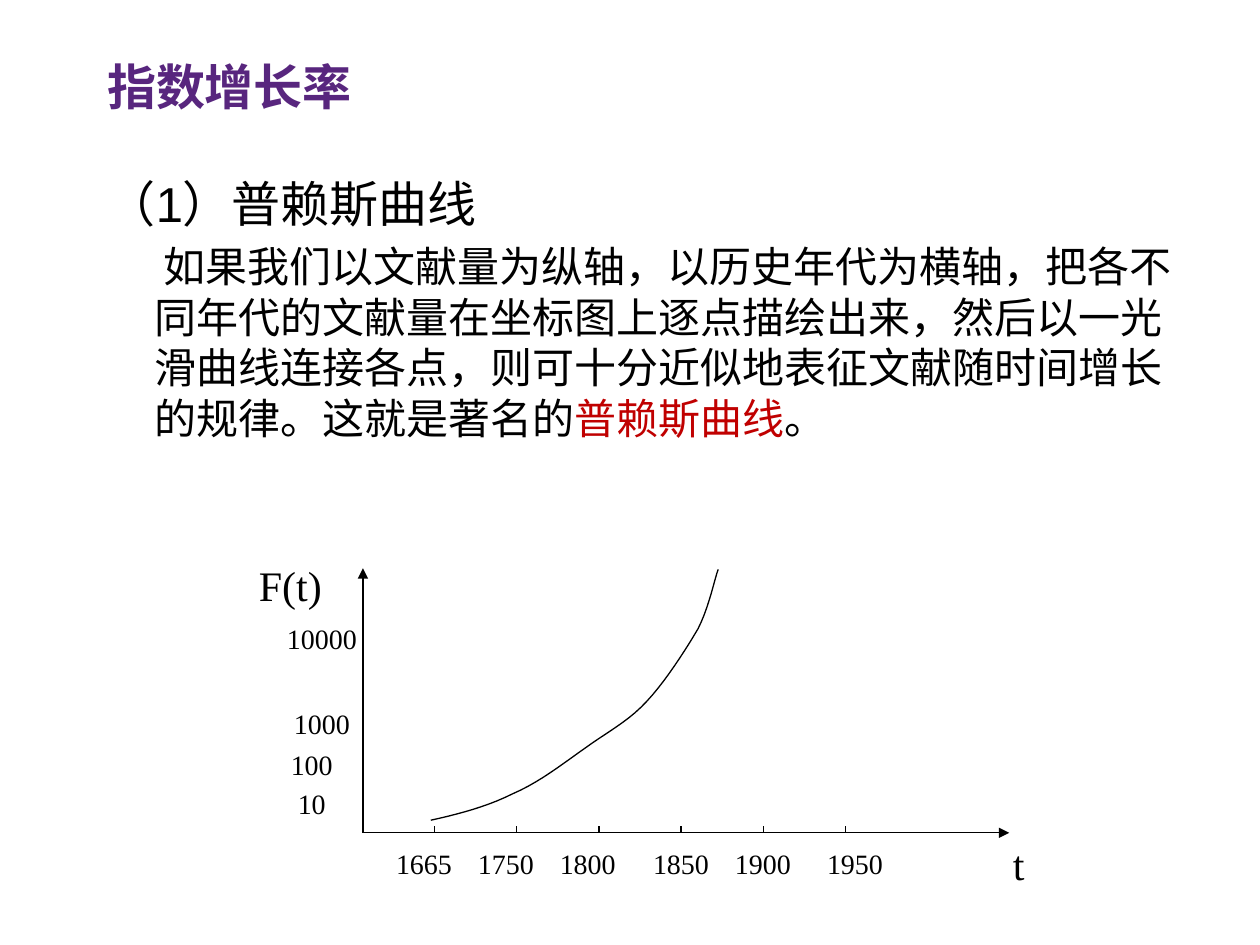
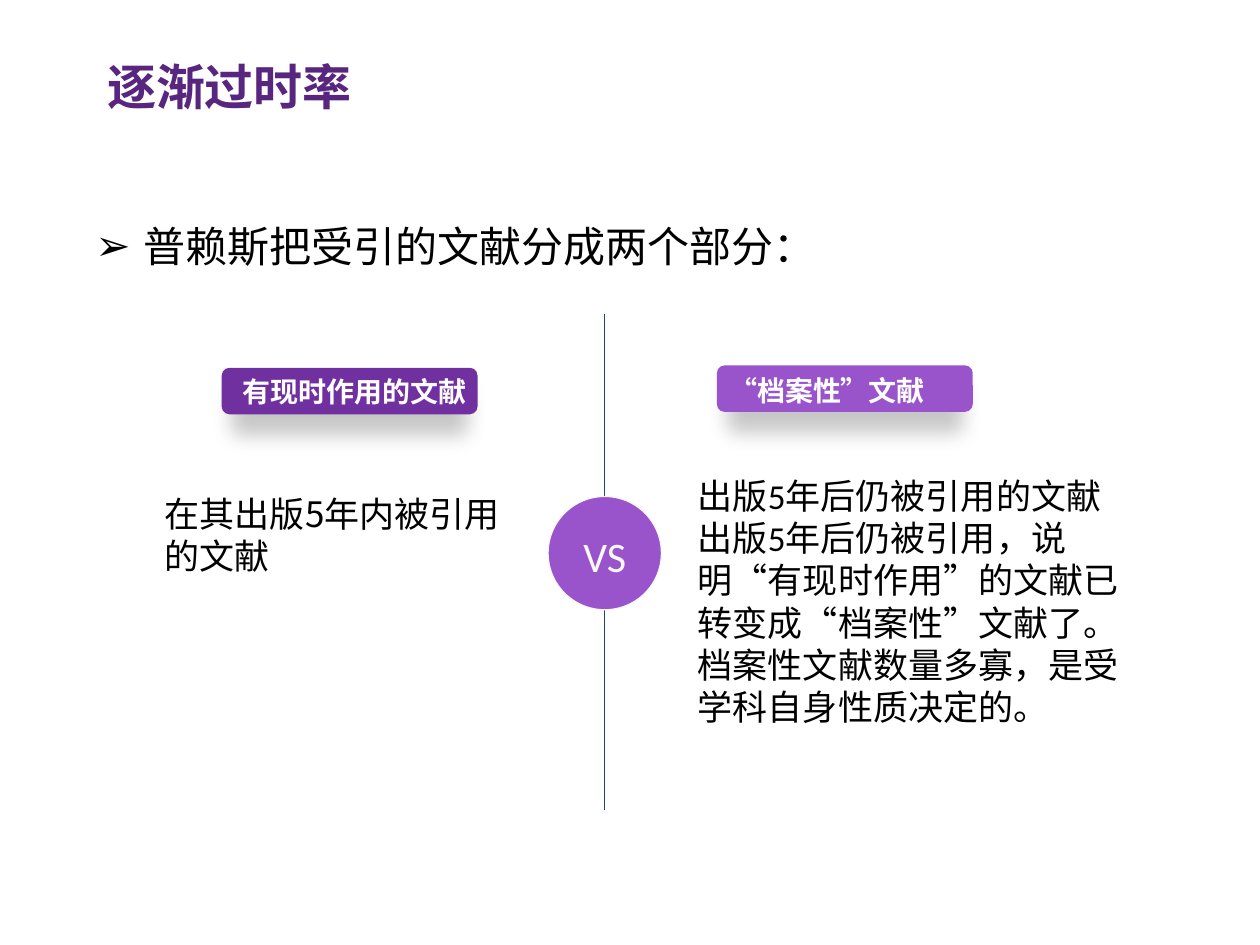
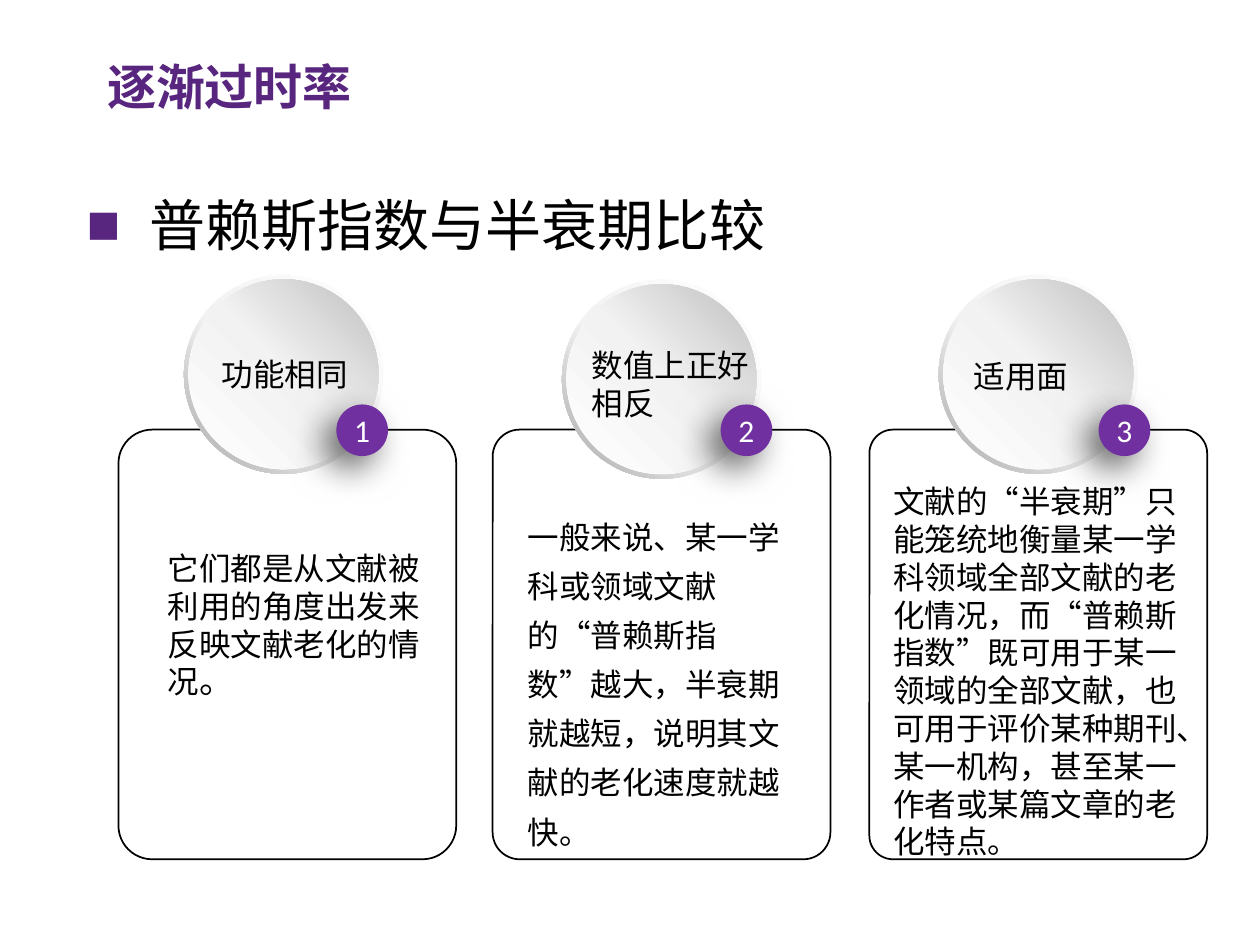
from lxml import etree
from pptx import Presentation
from pptx.dml import color
from pptx.enum import lang, shapes, text
from pptx.oxml import ns
from pptx.util import Pt

PURPLE, LILAC, TITLE_PURPLE = "7030A0", "9954CC", "58267E"
BLACK, WHITE, PALE, RED, NAVY = "000000", "FFFFFF", "F8F8F8", "C00000", "1F497D"
SANS, SERIF, HUMANIST, CJK = "Arial", "Times New Roman", "Calibri", "Noto Sans CJK SC"
LINE_HEIGHT, FIRST_LINE_DROP = 1.2, 0.07
LEFT, CENTER, RIGHT = text.PP_ALIGN.LEFT, text.PP_ALIGN.CENTER, text.PP_ALIGN.RIGHT
TOP, MIDDLE = text.MSO_ANCHOR.TOP, text.MSO_ANCHOR.MIDDLE
SHAPE = shapes.MSO_SHAPE
RING_STOPS = [(0, "FFFFFF"), (55, "F2F2F2"), (100, "A6A6A6")]
DISC_STOPS = [(0, "FFFFFF"), (51, "F2F2F2"), (100, "BFBFBF")]


def rgb(value):
    """Turn a hex string into a colour."""
    return color.RGBColor.from_string(value)


def add_node(parent, tag, **attributes):
    """Append a drawing element with the given attributes."""
    values = {key: str(value) for key, value in attributes.items()}
    return etree.SubElement(parent, ns.qn("a:" + tag), values)


def apply(target, values):
    """Set each attribute named in a dict of format values."""
    for name, value in values.items():
        setattr(target, name, value)


def write(frame, paragraphs, size, font=SANS, ink=BLACK, bold=False, align=LEFT,
          anchor=TOP, wrap=True, inset=(7.2, 3.6), spacing=1, before=0,
          indents=(), bullet=None):
    """Fill a text frame with paragraphs made of runs."""
    side, edge = inset
    drop = FIRST_LINE_DROP * size if anchor == TOP else 0
    apply(frame, {"auto_size": text.MSO_AUTO_SIZE.NONE, "word_wrap": wrap,
                  "vertical_anchor": anchor, "margin_left": Pt(side),
                  "margin_right": Pt(side), "margin_top": Pt(edge + drop),
                  "margin_bottom": Pt(edge)})
    for order, runs in enumerate(paragraphs):
        paragraph = frame.add_paragraph() if order else frame.paragraphs[0]
        runs = [(runs, {})] if isinstance(runs, str) else runs
        apply(paragraph, {"alignment": align,
                          "line_spacing": Pt(size * LINE_HEIGHT * spacing),
                          "space_before": Pt(before if order else 0)})
        properties = paragraph._p.get_or_add_pPr()
        if order < len(indents):
            margin, first = indents[order]
            properties.set("marL", str(Pt(margin)))
            properties.set("indent", str(Pt(first)))
        if bullet:
            mark, mark_ink = bullet
            add_node(add_node(properties, "buClr"), "srgbClr", val=mark_ink)
            add_node(properties, "buFont", typeface=SANS)
            add_node(properties, "buChar", char=mark)
        for words, changes in runs:
            run = paragraph.add_run()
            run.text = words
            look = {"size": size, "ink": ink, **changes}
            apply(run.font, {"size": Pt(look["size"]), "name": font, "bold": bold,
                             "language_id": lang.MSO_LANGUAGE_ID.SIMPLIFIED_CHINESE})
            run.font.color.rgb = rgb(look["ink"])
            add_node(run._r.get_or_add_rPr(), "ea", typeface=CJK)


def add_text(slide, box, paragraphs, size, **style):
    """Add a text box."""
    frame = slide.shapes.add_textbox(*map(Pt, box)).text_frame
    write(frame, paragraphs, size, **style)


def add_figure(slide, kind, box, fill=None, line=None, width=0.75, adjust=None):
    """Add a preset shape without a shadow."""
    figure = slide.shapes.add_shape(kind, *map(Pt, box))
    figure.shadow.inherit = False
    if adjust is not None:
        figure.adjustments[0] = adjust
    paint(figure, fill, line, width)
    return figure


def paint(figure, fill, line, width):
    """Set fill and outline, either of which may be absent."""
    if fill:
        figure.fill.solid()
        figure.fill.fore_color.rgb = rgb(fill)
    else:
        figure.fill.background()
    if line:
        figure.line.color.rgb = rgb(line)
        figure.line.width = Pt(width)
    else:
        figure.line.fill.background()


def shade(figure, stops, angle):
    """Give a shape a linear gradient with a clockwise angle."""
    figure.fill.gradient()
    figure.fill.gradient_angle = 360 - angle
    stop_list = figure._element.spPr.find(".//" + ns.qn("a:gsLst"))
    for old in list(stop_list):
        stop_list.remove(old)
    for position, tint in stops:
        stop = add_node(stop_list, "gs", pos=position * 1000)
        add_node(stop, "srgbClr", val=tint)


def cast_shadow(figure, alpha, blur, distance, angle, spread=100):
    """Add a soft black shadow to a shape."""
    effects = figure._element.spPr.find(ns.qn("a:effectLst"))
    shadow = add_node(effects, "outerShdw", blurRad=Pt(blur), dist=Pt(distance),
                      dir=angle * 60000, sx=spread * 1000, algn="ctr", rotWithShape=0)
    add_node(add_node(shadow, "srgbClr", val=BLACK), "alpha", val=alpha * 1000)


def add_line(slide, start, end, ink=BLACK, arrow=False):
    """Add a thin straight line, with an arrowhead if wanted."""
    line = slide.shapes.add_connector(shapes.MSO_CONNECTOR.STRAIGHT,
                                      *map(Pt, (*start, *end)))
    line.line.color.rgb = rgb(ink)
    line.line.width = Pt(0.75)
    if arrow:
        add_node(line.line._get_or_add_ln(), "tailEnd", type="triangle")
    add_node(line._element.spPr, "effectLst")


def bezier(points, steps=10):
    """Sample a chain of cubic curves."""
    samples = [points[0]]
    for start in range(0, len(points) - 1, 3):
        knots = points[start:start + 4]
        for step in range(1, steps + 1):
            t = step / steps
            weights = ((1 - t) ** 3, 3 * t * (1 - t) ** 2, 3 * t * t * (1 - t), t ** 3)
            samples.append(tuple(sum(w * knot[axis] for w, knot in zip(weights, knots))
                                 for axis in (0, 1)))
    return samples


def add_curve(slide, points):
    """Draw a smooth open curve."""
    first, *rest = [(Pt(x), Pt(y)) for x, y in bezier(points)]
    builder = slide.shapes.build_freeform(*first)
    builder.add_line_segments(rest, close=False)
    curve = builder.convert_to_shape()
    curve.shadow.inherit = False
    paint(curve, None, BLACK, 0.75)


def add_axis_label(slide, words, left, top, size=16):
    """Add one label of the growth diagram."""
    label = add_figure(slide, SHAPE.ROUNDED_RECTANGLE, (left, top, 58.3, 26.6))
    write(label.text_frame, [words], size, font=SERIF, align=CENTER,
          anchor=MIDDLE, wrap=False)


def add_titled_slide(deck, heading):
    """Add a slide with the shared title style."""
    slide = deck.slides.add_slide(deck.slide_layouts[5])
    title = slide.shapes.title
    apply(title, {"left": Pt(54), "top": Pt(26.5), "width": Pt(672.5), "height": Pt(33)})
    write(title.text_frame, [heading], 28, font=HUMANIST, ink=TITLE_PURPLE, bold=True)
    return slide


def add_growth_diagram(slide):
    """Draw the axes, ticks, labels and growth curve."""
    left, base, label_top = 207.4, 475.9, 480.2
    add_line(slide, (left, base), (left, 324.7), arrow=True)
    add_line(slide, (left, base), (576.7, base), arrow=True)
    years = {"1665": 213.1, "1750": 259.9, "1800": 306.7,
             "1850": 360, "1900": 406.8, "1950": 459.4}
    for order, (year, label_left) in enumerate(years.items()):
        tick = 248.4 + 46.95 * order
        add_line(slide, (tick, base - 3.6), (tick, base))
        add_axis_label(slide, year, label_left, label_top)
    counts = [("10000", 154.8, 351.4), ("1000", 154.8, 400.3),
              ("100", 149, 423.4), ("10", 149, 445.7)]
    for count in counts:
        add_axis_label(slide, *count)
    add_axis_label(slide, "F(t)", 136.8, 321.1, 24)
    add_axis_label(slide, "t", 553, label_top, 24)
    add_curve(slide, [(246.2, 468.7), (262.8, 465.1), (278.6, 460.8), (293, 453.6),
                      (308.2, 447.1), (321.8, 436.3), (334.1, 427.7), (347, 418.3),
                      (358.6, 412.6), (369.4, 401), (380.2, 389.5), (391.7, 371.5),
                      (398.9, 359.3), (405.4, 346.3), (408.2, 331.2), (410.4, 325.4)])


def build_growth(deck):
    """Build the slide on exponential growth."""
    slide = add_titled_slide(deck, "指数增长率")
    explanation = [
        ("如果我们以文献量为纵轴，以历史年代为横轴，把各不同年代的文献量在坐标图上逐点描绘出来，"
         "然后以一光滑曲线连接各点，则可十分近似地表征文献随时间增长的规律。这就是著名的", {}),
        ("普赖斯曲线", {"ink": RED}), ("。", {})]
    add_text(slide, (54, 98.6, 640.8, 345.6),
             [[("（1）普赖斯曲线", {"size": 28})], explanation], 24,
             before=5, indents=[(0, 0), (27.4, 5)])
    add_growth_diagram(slide)


def add_tag(slide, left, top, fill):
    """Add a shadowed heading plate."""
    plate = add_figure(slide, SHAPE.ROUNDED_RECTANGLE, (left, top, 146.2, 26.6), fill)
    cast_shadow(plate, 22, 12, 12, 90, spread=92)


def build_versus(deck):
    """Build the slide comparing the two kinds of literature."""
    slide = add_titled_slide(deck, "逐渐过时率")
    add_text(slide, (47.5, 121, 660.2, 345.6), ["普赖斯把受引的文献分成两个部分："], 24,
             font=HUMANIST, indents=[(27.4, -27.4)], bullet=("➢", BLACK))
    add_tag(slide, 126.7, 210.2, PURPLE)
    add_tag(slide, 409.7, 208.8, LILAC)
    divider = 345.6
    for top in (179.3, 347.8):
        add_line(slide, (divider, top), (divider, top + 115.2), NAVY)
    add_figure(slide, SHAPE.OVAL, (313.2, 283.7, 64.8, 64.8), LILAC, PALE)
    tag_style = {"ink": WHITE, "bold": True, "wrap": False}
    add_text(slide, (128.9, 209.5, 144.7, 26.6), ["有现时作用的文献"], 16,
             align=RIGHT, **tag_style)
    add_text(slide, (409.7, 208.8, 128.2, 26.6), ["“档案性”文献"], 16, **tag_style)
    add_text(slide, (87.1, 276.5, 214.6, 55.4), ["在其出版5年内被引用的文献"], 20, font=CJK)
    add_text(slide, (391.7, 266.4, 257, 152.6),
             ["出版5年后仍被引用的文献",
              "出版5年后仍被引用，说明“有现时作用”的文献已转变成“档案性”文献了。",
              "档案性文献数量多寡，是受学科自身性质决定的。"], 20, font=HUMANIST)
    add_text(slide, (326.2, 298, 39.6, 36.7), ["VS"], 24, font=HUMANIST, ink=PALE, wrap=False)


def add_card(slide, number, left, ring, badge_left, corner, caption_box, caption):
    """Add a card with its ringed disc, numbered badge and caption."""
    add_figure(slide, SHAPE.ROUNDED_RECTANGLE, (left, 245.5, 193, 245.5),
               line=BLACK, width=1, adjust=corner)
    ring_left, ring_top = ring
    rim = add_figure(slide, SHAPE.DONUT, (ring_left, ring_top, 113.8, 113.8), adjust=0.05)
    shade(rim, RING_STOPS, 135)
    disc = add_figure(slide, SHAPE.OVAL, (ring_left + 2.6, ring_top + 2.6, 108.6, 108.6))
    shade(disc, DISC_STOPS, 315)
    badge = add_figure(slide, SHAPE.OVAL, (badge_left, 231.1, 29.5, 29.5), PURPLE)
    cast_shadow(badge, 60, 20, 10, 135)
    write(badge.text_frame, [str(number)], 18, font=HUMANIST, ink=WHITE,
          align=CENTER, anchor=MIDDLE, wrap=False)
    add_text(slide, caption_box, caption, 18, font=CJK, wrap=False)


def build_comparison(deck):
    """Build the slide comparing the index with the half-life."""
    slide = add_titled_slide(deck, "逐渐过时率")
    add_text(slide, (42.5, 82.8, 672.5, 90), ["普赖斯指数与半衰期比较"], 32, font=HUMANIST,
             anchor=MIDDLE, indents=[(36, -36)], bullet=("■", TITLE_PURPLE))
    cards = [
        (67.7, (105.1, 157), 192.2, 0.1, (119.5, 198, 87.1, 28.8), ["功能相同"]),
        (281.5, (321.1, 159.8), 411.8, 0.08, (331.2, 193, 105.1, 51.1), ["数值上正好", "相反"]),
        (496.8, (536.4, 157), 627.8, 0.07, (549.4, 199.4, 69.1, 28.8), ["适用面"])]
    for number, card in enumerate(cards, 1):
        add_card(slide, number, *card)
    flush, indented = {"inset": (0, 0)}, {"inset": (0, 0), "indents": [(36, 0)]}
    add_text(slide, (59.8, 312.5, 180.7, 90),
             [[("它们都是从文献被利用的角度出发来反映文献老化的情况", {}), ("。", {"size": 20})]],
             18, **indented)
    add_text(slide, (301.7, 288, 154.8, 170),
             ["一般来说、某一学科或领域文献的“普赖斯指数”越大，半衰期就越短，说明其文献的老化速度就越快。"],
             18, spacing=1.3, **flush)
    add_text(slide, (474.5, 274.3, 215.3, 218.2),
             ["文献的“半衰期”只能笼统地衡量某一学科领域全部文献的老化情况，而“普赖斯指数”既可用于"
              "某一领域的全部文献，也可用于评价某种期刊、某一机构，甚至某一作者或某篇文章的老化特点。"],
             18, **indented)


def main():
    """Build and save the deck."""
    deck = Presentation()
    apply(deck, {"slide_width": Pt(720), "slide_height": Pt(540)})
    for build in (build_growth, build_versus, build_comparison):
        build(deck)
    deck.save("out.pptx")


if __name__ == "__main__":
    main()
